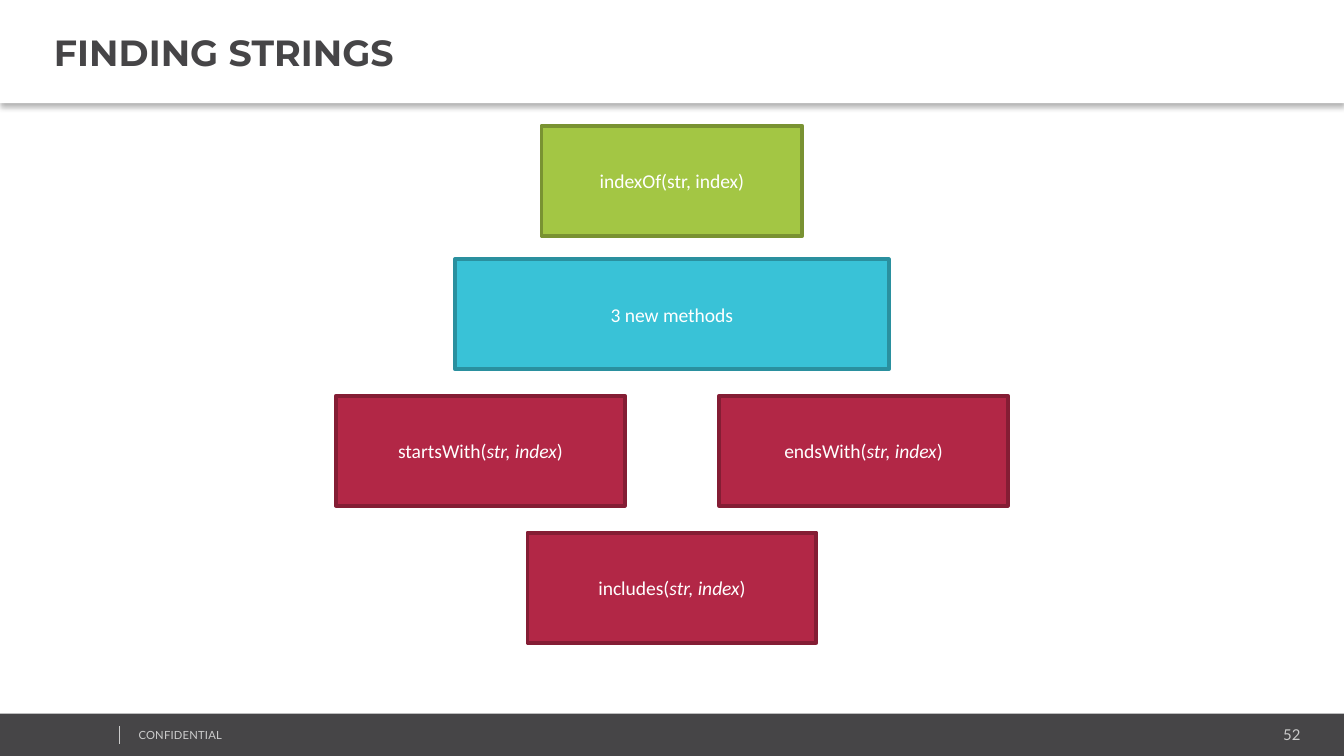
from lxml import etree
from pptx import Presentation
from pptx.dml.color import RGBColor
from pptx.enum.shapes import MSO_CONNECTOR, MSO_SHAPE
from pptx.enum.text import MSO_ANCHOR, PP_ALIGN
from pptx.oxml import parse_xml
from pptx.oxml.ns import nsdecls, qn
from pptx.util import Cm, Pt

SLIDE_W, SLIDE_H = 25.4, 14.29
DARK, PALE, WHITE = "464547", "CCCCCC", "FFFFFF"
GREEN, CYAN, RED = ("A3C644", "799232"), ("39C2D7", "2A909F"), ("B22746", "841D34")


def color(hex_string):
    return RGBColor.from_string(hex_string)


def add_run(paragraph, text, size, font, hex_string, italic=False, bold=False):
    run = paragraph.add_run()
    run.text = text
    run.font.size, run.font.name = Pt(size), font
    run.font.italic, run.font.bold = italic, bold
    run.font.color.rgb = color(hex_string)
    return run


def place(shape, x, y, w, h):
    shape.left, shape.top, shape.width, shape.height = Cm(x), Cm(y), Cm(w), Cm(h)


def set_insets(frame, left, top, right, bottom):
    frame.margin_left, frame.margin_top = Cm(left), Cm(top)
    frame.margin_right, frame.margin_bottom = Cm(right), Cm(bottom)


def add_box(slide, x, y, w, h, fill, line=None):
    box = slide.shapes.add_shape(MSO_SHAPE.RECTANGLE, Cm(x), Cm(y), Cm(w), Cm(h))
    box.shadow.inherit = False
    box.fill.solid()
    box.fill.fore_color.rgb = color(fill)
    if line:
        box.line.color.rgb = color(line)
        box.line.width = Pt(2)
    else:
        box.line.fill.background()
    return box


# Header: white title bar with a soft shadow below
def build_header(slide, x, y, w, h, text):
    title = slide.shapes.title
    place(title, x, y, w, h)
    title.fill.solid()
    title.fill.fore_color.rgb = color(WHITE)
    title._element.spPr.append(parse_xml(
        f'<a:effectLst {nsdecls("a")}>'
        '<a:outerShdw blurRad="39370" dist="25400" dir="5400000" algn="t" rotWithShape="0">'
        '<a:srgbClr val="000000"><a:alpha val="30000"/></a:srgbClr>'
        '</a:outerShdw></a:effectLst>'))
    frame = title.text_frame
    frame.vertical_anchor = MSO_ANCHOR.MIDDLE
    set_insets(frame, 1.02, 0.13, 0.25, 0.13)
    frame.paragraphs[0].alignment = PP_ALIGN.LEFT
    add_run(frame.paragraphs[0], text, 19.5, "Montserrat", DARK, bold=True)


# Methods: rows of boxes centred on the region's axis
def build_methods(slide, x, y, w, rows, h=2.08, pair_gap=1.78):
    for row_y, box_w, colors, labels in rows:
        row_w = len(labels) * box_w + (len(labels) - 1) * pair_gap
        left = x + (w - row_w) / 2
        for i, parts in enumerate(labels):
            box = add_box(slide, left + i * (box_w + pair_gap), y + row_y, box_w, h, *colors)
            frame = box.text_frame
            frame.word_wrap = True
            frame.vertical_anchor = MSO_ANCHOR.MIDDLE
            paragraph = frame.paragraphs[0]
            paragraph.alignment = PP_ALIGN.CENTER
            for k, part in enumerate(parts):
                add_run(paragraph, part, 10.5, "Calibri", WHITE, italic=k == 1)


# Footer: dark band with divider, label and page number
def build_footer(slide, x, y, w, h):
    add_box(slide, x, y, w, h, DARK)
    divider = slide.shapes.add_connector(
        MSO_CONNECTOR.STRAIGHT, Cm(x + 2.26), Cm(y + 0.23), Cm(x + 2.26), Cm(y + 0.58))
    divider.line.color.rgb = color(PALE)
    divider.line.width = Pt(0.25)
    etree.SubElement(divider._element.spPr, qn("a:effectLst"))

    def add_label(left, top, width, height, text, size, align):
        label = slide.shapes.add_textbox(Cm(left), Cm(top), Cm(width), Cm(height))
        frame = label.text_frame
        frame.word_wrap = True
        set_insets(frame, 0.18, 0.1, 0.18, 0.1)
        frame.paragraphs[0].alignment = align
        return add_run(frame.paragraphs[0], text, size, "Lato", PALE)

    add_label(x + 20.62, y + 0.13, 4.14, 0.53, "52", 8, PP_ALIGN.RIGHT)
    label = add_label(x + 2.44, y + 0.18, 6.43, 0.46, "CONFIDENTIAL", 6, PP_ALIGN.LEFT)
    label.font._element.set("spc", "10")


prs = Presentation()
prs.slide_width, prs.slide_height = Cm(SLIDE_W), Cm(SLIDE_H)
slide = prs.slides.add_slide(prs.slide_layouts[5])


def call(name):
    return name + "(", "str, index", ")"


# Each row: top, box width, fill and line, labels
METHOD_ROWS = [
    (0, 4.93, GREEN, [("indexOf(str, index)",)]),
    (2.52, 8.2, CYAN, [("3 new methods",)]),
    (5.1, 5.46, RED, [call("startsWith"), call("endsWith")]),
    (7.69, 5.46, RED, [call("includes")]),
]
build_footer(slide, 0, 13.49, SLIDE_W, 0.8)
build_header(slide, 0, 0, SLIDE_W, 1.95, "FINDING STRINGS")
build_methods(slide, 0, 2.38, SLIDE_W, METHOD_ROWS)
prs.save("out.pptx")
